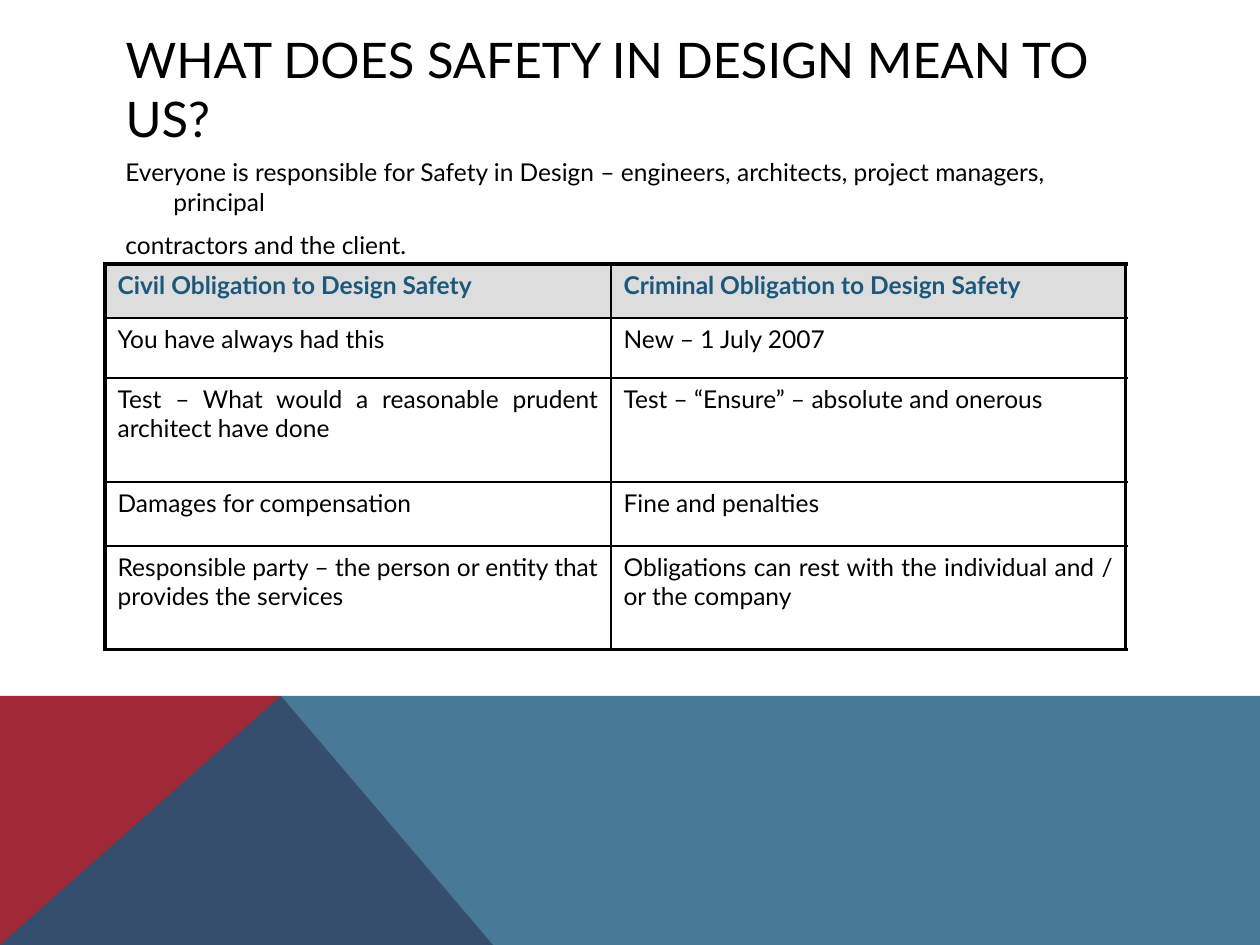
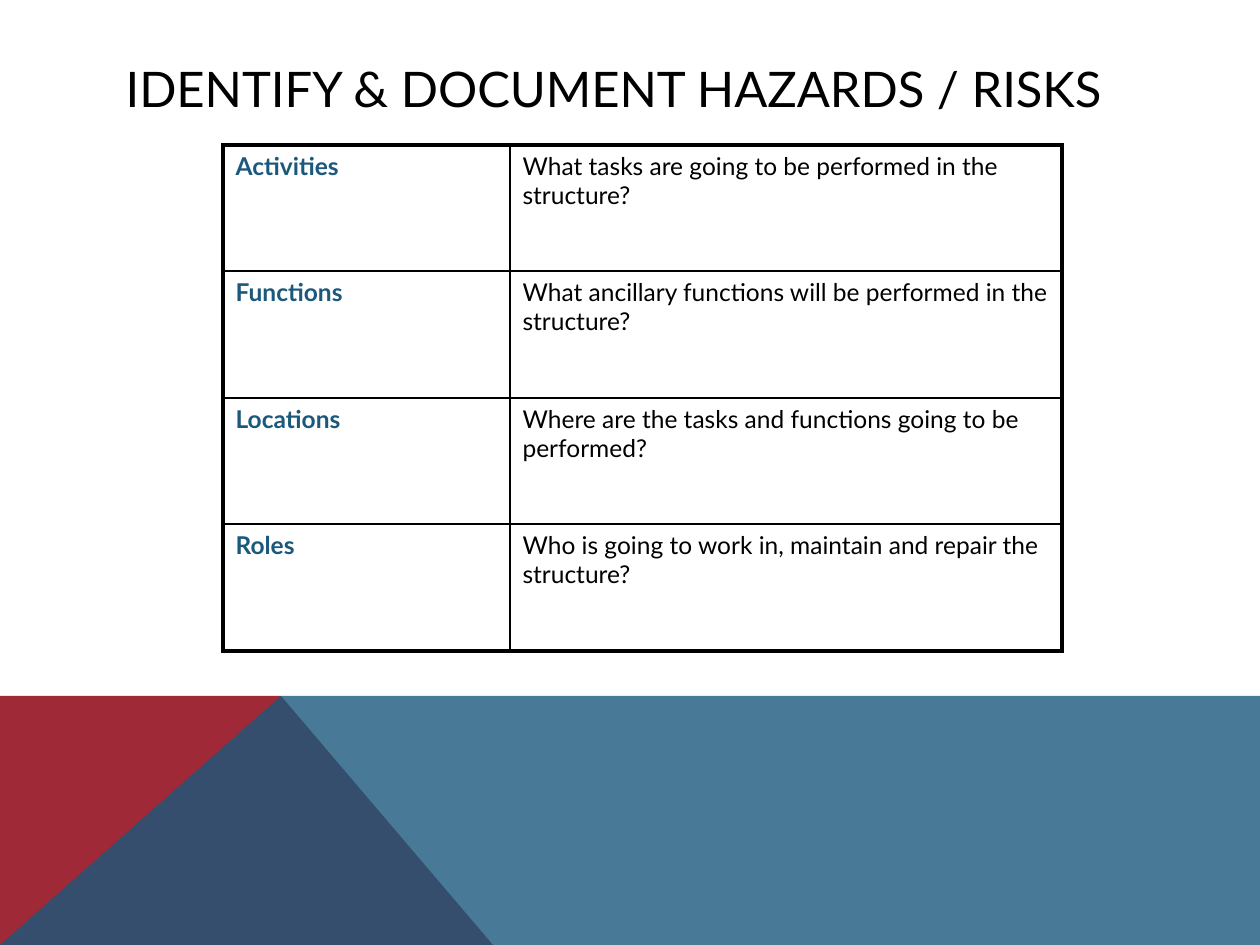
from lxml import etree
from pptx import Presentation
from pptx import util as u
from pptx.dml.color import RGBColor
from pptx.enum import shapes, text
from pptx.oxml.ns import qn

SCALE = 914400 / 126  # EMU per px
WIDTH, HEIGHT = 1260, 945
FONT = "Lato"
BLACK, BLUE, RED, GREY = "000000", "1B587C", "9F2936", "DDDDDD"
TITLE_BOX = (113, 50, 1036, 76)
INTRO_BOX = (113, 151, 1036, 102)
BAND_BOX = (0, 696, WIDTH, 249)
TITLE_SIZE, TEXT_SIZE = 28, 14


def px(length):
    return u.Emu(round(length * SCALE))


def color(hex_string):
    return RGBColor.from_string(hex_string)


def add_run(paragraph, words, size=TEXT_SIZE, ink=BLACK, bold=False):
    run = paragraph.add_run()
    run.text = words
    run.font.name = FONT
    run.font.size = u.Pt(size)
    run.font.bold = bold
    run.font.color.rgb = color(ink)


# Shared bands at the foot of every slide
def add_band(slide, box, points, fill, opacity=100):
    left, top = box[:2]
    corners = [(left + x, top + y) for x, y in points]
    builder = slide.shapes.build_freeform(*corners[0], scale=SCALE)
    builder.add_line_segments(corners[1:], close=True)
    band = builder.convert_to_shape()
    band.shadow.inherit = False
    band.line.fill.background()
    band.fill.solid()
    band.fill.fore_color.rgb = color(fill)
    if opacity < 100:
        tint = band.element.spPr.find(f"{qn('a:solidFill')}/{qn('a:srgbClr')}")
        etree.SubElement(tint, qn("a:alpha"), val=str(opacity * 1000))
    return band


def move_bands_to_layout(slide, box):
    width, height = box[2:]
    peak = (281, 0)
    layout = slide.slide_layout
    for placeholder in list(layout.placeholders):
        if placeholder.placeholder_format.type != shapes.PP_PLACEHOLDER.TITLE:
            layout.shapes.element.remove(placeholder.element)
    red = add_band(slide, box, [(0, height), (0, 0), peak, (493, height)], RED)
    blue = add_band(slide, box, [(0, height), peak, (width, 0), (width, height)],
                    BLUE, opacity=80)
    for band in (red, blue):
        layout.shapes.element.append(band.element)


# Title and introduction
def add_titled_slide(presentation, words):
    slide = presentation.slides.add_slide(presentation.slide_layouts[5])
    title = slide.shapes.title
    title.left, title.top, title.width, title.height = map(px, TITLE_BOX)
    frame = title.text_frame
    frame.word_wrap = True
    frame.auto_size = text.MSO_AUTO_SIZE.NONE
    frame.vertical_anchor = text.MSO_ANCHOR.MIDDLE
    paragraph = frame.paragraphs[0]
    paragraph.alignment = text.PP_ALIGN.LEFT
    add_run(paragraph, words, TITLE_SIZE)
    return slide


def add_intro(slide, box, lines):
    frame = slide.shapes.add_textbox(*map(px, box)).text_frame
    frame.word_wrap = True
    for index, line in enumerate(lines):
        paragraph = frame.add_paragraph() if index else frame.paragraphs[0]
        paragraph.space_before = u.Pt(8)
        properties = paragraph._p.get_or_add_pPr()
        properties.set("marL", str(px(48)))
        properties.set("indent", str(px(-48)))
        add_run(paragraph, line)


# Tables with a heavy frame and thin inner rules
def set_borders(cell, widths):
    properties = cell._tc.get_or_add_tcPr()
    for side, width in zip("LRTB", widths):
        line = etree.SubElement(properties, qn(f"a:ln{side}"), w=str(u.Pt(width)))
        fill = etree.SubElement(line, qn("a:solidFill"))
        etree.SubElement(fill, qn("a:srgbClr"), val=BLACK)


def add_framed_table(slide, corner, columns, heights, rows, frame_width,
                     is_heading, heading_fill=None, alignment=text.PP_ALIGN.LEFT):
    box = (*corner, sum(columns), sum(heights))
    table = slide.shapes.add_table(len(rows), len(columns), *map(px, box)).table
    table.first_row = table.horz_banding = False
    for column, width in zip(table.columns, columns):
        column.width = px(width)
    last_row, last_column = len(rows) - 1, len(columns) - 1
    for r, row in enumerate(rows):
        table.rows[r].height = px(heights[r])
        for c, words in enumerate(row):
            cell = table.cell(r, c)
            edges = (c == 0, c == last_column, r == 0, r == last_row)
            set_borders(cell, [frame_width if edge else 1 for edge in edges])
            heading = is_heading(r, c)
            if heading and heading_fill:
                cell.fill.solid()
                cell.fill.fore_color.rgb = color(heading_fill)
            else:
                cell.fill.background()
            paragraph = cell.text_frame.paragraphs[0]
            paragraph.alignment = alignment
            add_run(paragraph, words, ink=BLUE if heading else BLACK, bold=heading)


# Slides
def add_obligations_slide(presentation):
    slide = add_titled_slide(presentation, "WHAT DOES SAFETY IN DESIGN MEAN TO US?")
    add_intro(slide, INTRO_BOX, [
        "Everyone is responsible for Safety in Design – engineers, architects, "
        "project managers, principal",
        "contractors and the client.",
    ])
    obligations = [
        ("Civil Obligation to Design Safety", "Criminal Obligation to Design Safety"),
        ("You have always had this", "New – 1 July 2007"),
        ("Test – What would a reasonable prudent architect have done",
         "Test – “Ensure” – absolute and onerous"),
        ("Damages for compensation", "Fine and penalties"),
        ("Responsible party – the person or entity that provides the services",
         "Obligations can rest with the individual and / or the company"),
    ]
    add_framed_table(slide, (105, 264), (506, 515), (54, 60, 104, 64, 104),
                     obligations, 2, lambda r, c: r == 0, GREY,
                     text.PP_ALIGN.JUSTIFY)
    return slide


def add_hazards_slide(presentation):
    slide = add_titled_slide(presentation, "IDENTIFY & DOCUMENT HAZARDS / RISKS")
    hazards = [
        ("Activities", "What tasks are going to be performed in the structure?"),
        ("Functions", "What ancillary functions will be performed in the structure?"),
        ("Locations", "Where are the tasks and functions going to be performed?"),
        ("Roles", "Who is going to work in, maintain and repair the structure?"),
    ]
    add_framed_table(slide, (223, 145), (287, 552), (126, 127) * 2,
                     hazards, 2.25, lambda r, c: c == 0)


def main():
    presentation = Presentation()
    presentation.slide_width, presentation.slide_height = px(WIDTH), px(HEIGHT)
    first_slide = add_obligations_slide(presentation)
    move_bands_to_layout(first_slide, BAND_BOX)
    add_hazards_slide(presentation)
    presentation.save("out.pptx")


if __name__ == "__main__":
    main()
